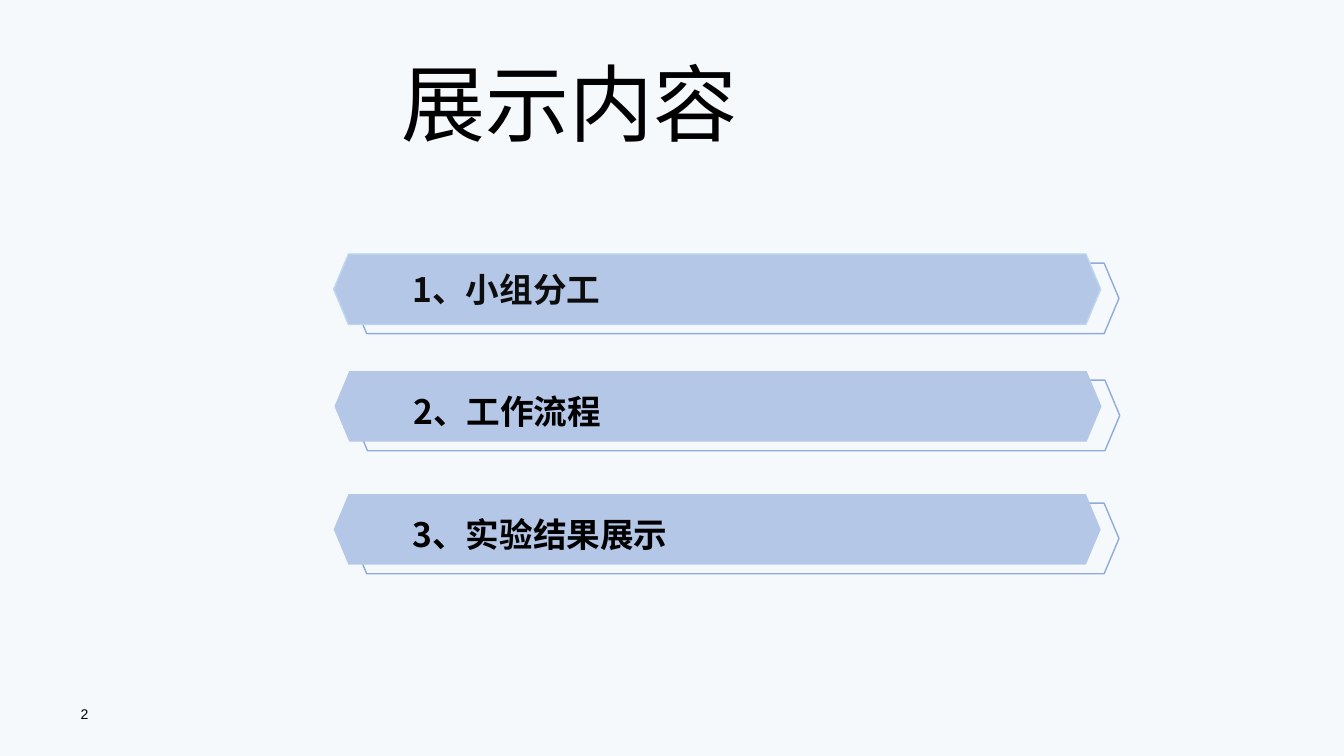
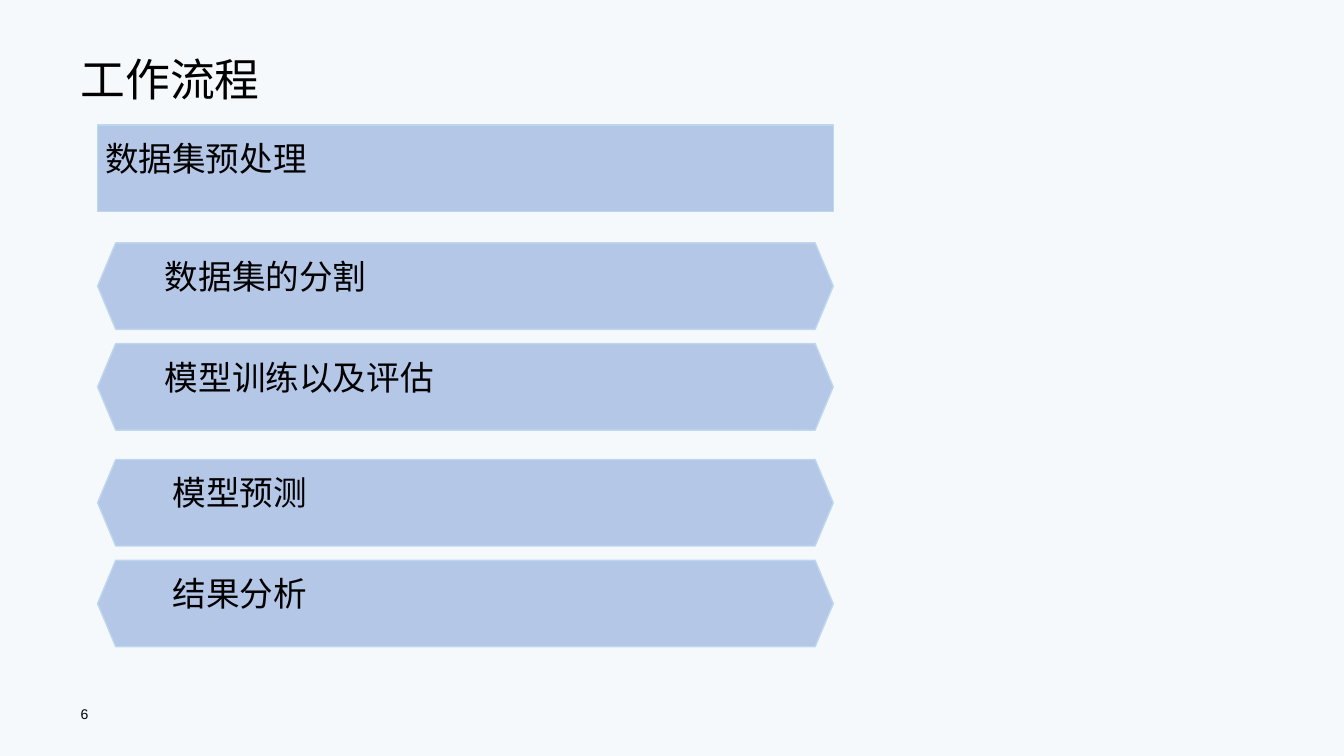
from lxml.etree import SubElement
from pptx import Presentation
from pptx.dml.color import RGBColor
from pptx.enum.shapes import MSO_SHAPE as Preset
from pptx.enum.text import MSO_ANCHOR as Anchor, MSO_AUTO_SIZE as AutoSize, PP_ALIGN as Align
from pptx.oxml.ns import qn
from pptx.util import Cm, Pt

AGENDA = {
    "title": "展示内容",
    "number": "2",
    "bars": [
        ("1、小组分工", 8.41, 6.4),
        ("2、工作流程", 8.43, 9.35),
        ("3、实验结果展示", 8.41, 12.45),
    ],
}
WORKFLOW = {
    "title": "工作流程",
    "number": "6",
    "steps": [
        ("数据集预处理", 3.15, Preset.RECTANGLE, 0.19),
        ("数据集的分割", 6.12, Preset.HEXAGON, 0),
        ("模型训练以及评估", 8.66, Preset.HEXAGON, 0),
        ("模型预测", 11.58, Preset.HEXAGON, 0.19),
        ("结果分析", 14.12, Preset.HEXAGON, 0.19),
    ],
}

PAGE_FILL = RGBColor(0xF6, 0xF9, 0xFC)
BAR_FILL = RGBColor(0xB4, 0xC7, 0xE7)
BAR_EDGE = RGBColor(0xBD, 0xD7, 0xEE)
OUTLINE = RGBColor(0x8F, 0xAA, 0xDC)
BLACK = RGBColor(0, 0, 0)
SOFT_BLACK = RGBColor(0x0D, 0x0D, 0x0D)
CJK_FONT = "Noto Sans CJK SC"
NUMBER_FONT = "Arial"

AGENDA_BAR = (19.33, 1.78)
OUTLINE_SHIFT = (0.46, 0.23)
STEP_LEFT = 2.46
STEP_BAR = (18.54, 2.18)


def write(shape, text, size, font=CJK_FONT, color=BLACK, bold=False,
          spacing=None, anchor=Anchor.MIDDLE, inset=0, left_inset=None):
    frame = shape.text_frame
    frame.word_wrap = True
    frame.auto_size = AutoSize.NONE
    frame.vertical_anchor = anchor
    frame.margin_left = Cm(inset if left_inset is None else left_inset)
    frame.margin_right = Cm(inset)
    frame.margin_top = frame.margin_bottom = Cm(inset / 2)
    para = frame.paragraphs[0]
    para.alignment = Align.LEFT
    if spacing is not None:
        para.line_spacing = spacing
    span = para.add_run()
    span.text = text
    span.font.size = Pt(size)
    span.font.bold = bold
    span.font.color.rgb = color
    span.font.name = font
    SubElement(span.font._element, qn("a:ea"), typeface=font)


def add_bar(page, left, top, size, preset=Preset.HEXAGON, fill=None, edge=None):
    bar = page.shapes.add_shape(preset, Cm(left), Cm(top), *map(Cm, size))
    bar.shadow.inherit = False
    if preset == Preset.HEXAGON:
        bar.adjustments[0] = 0.21
    if fill is None:
        bar.fill.background()
    else:
        bar.fill.solid()
        bar.fill.fore_color.rgb = fill
    if edge is None:
        bar.line.fill.background()
    else:
        bar.line.color.rgb = edge
        bar.line.width = Pt(1)
    return bar


def add_page(deck, content, left, top, width, size):
    page = deck.slides.add_slide(deck.slide_layouts[5])
    title = page.shapes.title
    title.left, title.top, title.width, title.height = map(Cm, (left, top, width, 2.77))
    write(title, content["title"], size, spacing=Pt(35.2), anchor=Anchor.TOP)
    box = page.shapes.add_textbox(Cm(2.03), Cm(17.48), Cm(1.19), Cm(1.02))
    write(box, content["number"], 10, font=NUMBER_FONT)
    return page


def build_agenda(deck):
    page = add_page(deck, AGENDA, 10.11, 2.59, 22.35, 60)
    shift_x, shift_y = OUTLINE_SHIFT
    for index, (text, left, top) in enumerate(AGENDA["bars"]):
        first = index == 0
        add_bar(page, left + shift_x, top + shift_y, AGENDA_BAR, edge=OUTLINE)
        bar = add_bar(page, left, top, AGENDA_BAR, fill=BAR_FILL,
                      edge=BAR_EDGE if first else None)
        write(bar, text, 24, bold=True, inset=0.25,
              color=SOFT_BLACK if first else BLACK,
              spacing=None if first else 1.25)


def build_workflow(deck):
    page = add_page(deck, WORKFLOW, 2.03, 1.42, 29.79, 32)
    for text, top, preset, indent in WORKFLOW["steps"]:
        bar = add_bar(page, STEP_LEFT, top, STEP_BAR, preset, BAR_FILL, BAR_EDGE)
        write(bar, text, 24, spacing=Pt(14.2), left_inset=indent)


def main():
    deck = Presentation()
    deck.slide_width, deck.slide_height = Cm(33.87), Cm(19.05)
    backdrop = deck.slide_master.background.fill
    backdrop.solid()
    backdrop.fore_color.rgb = PAGE_FILL
    build_agenda(deck)
    build_workflow(deck)
    deck.save("out.pptx")


if __name__ == "__main__":
    main()
